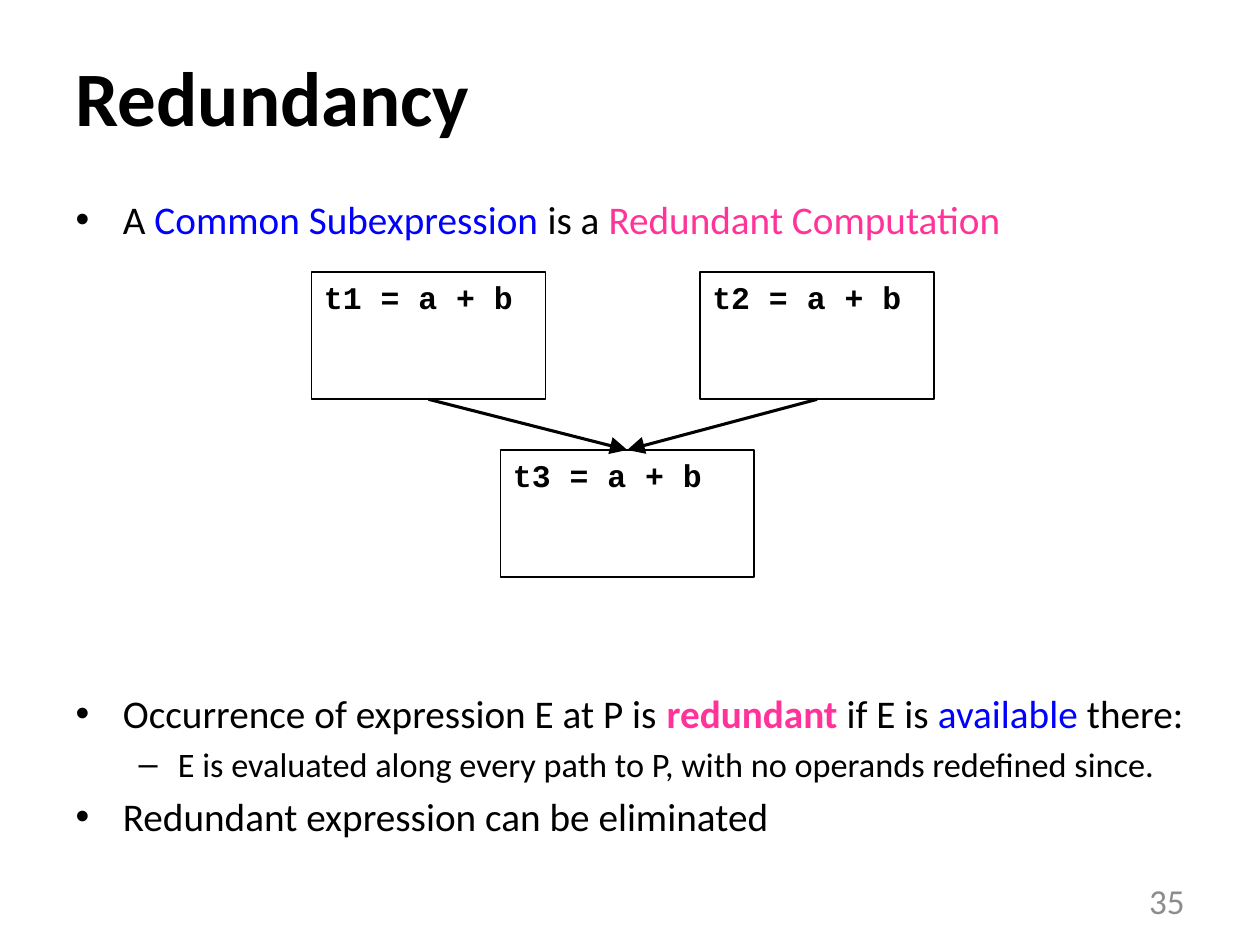
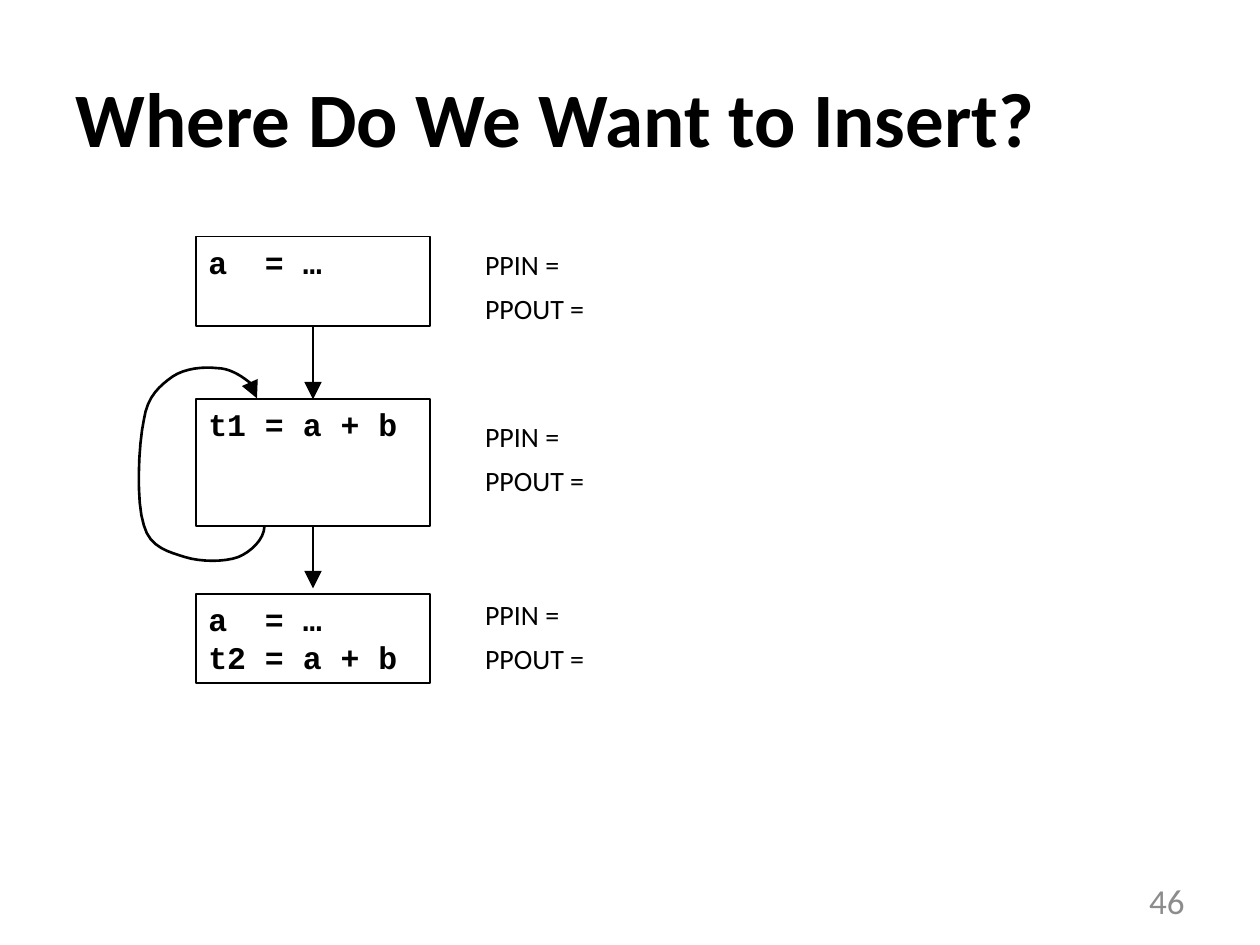
import pptx
import pptx.dml.color
import pptx.enum.shapes
import pptx.enum.text
import pptx.oxml
import pptx.oxml.ns
import pptx.util
from pptx.util import Cm

BLACK = pptx.dml.color.RGBColor(0x00, 0x00, 0x00)
BLUE = pptx.dml.color.RGBColor(0x00, 0x00, 0xFF)
PINK = pptx.dml.color.RGBColor(0xFF, 0x33, 0x99)
GREY = pptx.dml.color.RGBColor(0x8C, 0x8C, 0x8C)
TEXT_FONT = "Calibri"
CODE_FONT = "Courier New"
BLOCK_WIDTH = 4.72
TALL = 2.56
SHORT = 1.8


def add_block(page, code, left, top, width, height):
    block = page.shapes.add_shape(
        pptx.enum.shapes.MSO_SHAPE.RECTANGLE, Cm(left), Cm(top), Cm(width), Cm(height)
    )
    block.shadow.inherit = False
    block.fill.background()
    block.line.color.rgb = BLACK
    block.line.width = pptx.util.Pt(1)
    frame = block.text_frame
    frame.text = code
    frame.vertical_anchor = pptx.enum.text.MSO_ANCHOR.TOP
    for para in frame.paragraphs:
        para.alignment = pptx.enum.text.PP_ALIGN.LEFT
        font = para.runs[0].font
        font.name = CODE_FONT
        font.size = pptx.util.Pt(18)
        font.bold = True
        font.color.rgb = BLACK
    return block


def style_arrow(arrow, width):
    arrow.line.color.rgb = BLACK
    arrow.line.width = pptx.util.Pt(width)
    properties = arrow._element.spPr
    head = pptx.oxml.parse_xml(
        f'<a:tailEnd {pptx.oxml.ns.nsdecls("a")} type="triangle" w="lg" len="lg"/>'
    )
    properties.find(pptx.oxml.ns.qn("a:ln")).append(head)
    if properties.find(pptx.oxml.ns.qn("a:effectLst")) is None:
        properties.append(
            pptx.oxml.parse_xml(f'<a:effectLst {pptx.oxml.ns.nsdecls("a")}/>')
        )


deck = pptx.Presentation()
deck.slide_width = Cm(25.4)
deck.slide_height = Cm(19.05)

pages = []
for layout, heading, top, number in (
    (1, "Redundancy", 0.33, "35"),
    (5, "Where Do We Want to Insert?", 0.76, "46"),
):
    page = deck.slides.add_slide(deck.slide_layouts[layout])
    pages.append(page)

    title = page.shapes.title
    title.left, title.top, title.width, title.height = Cm(1.27), Cm(top), Cm(22.86), Cm(3.18)
    title.text_frame.text = heading
    title.text_frame.auto_size = pptx.enum.text.MSO_AUTO_SIZE.NONE
    para = title.text_frame.paragraphs[0]
    para.alignment = pptx.enum.text.PP_ALIGN.LEFT
    font = para.runs[0].font
    font.name = TEXT_FONT
    font.size = pptx.util.Pt(44)
    font.bold = True
    font.color.rgb = BLACK

    box = page.shapes.add_textbox(Cm(18.21), Cm(17.65), Cm(5.92), Cm(1.02))
    box.text_frame.word_wrap = True
    box.text_frame.vertical_anchor = pptx.enum.text.MSO_ANCHOR.MIDDLE
    box.text_frame.text = number
    para = box.text_frame.paragraphs[0]
    para.alignment = pptx.enum.text.PP_ALIGN.RIGHT
    font = para.runs[0].font
    font.name = TEXT_FONT
    font.size = pptx.util.Pt(20)
    font.color.rgb = GREY

redundancy, insertion = pages

body = redundancy.placeholders[1]
body.left, body.top, body.width, body.height = Cm(1.27), Cm(3.81), Cm(22.86), Cm(13.21)
frame = body.text_frame
frame.auto_size = pptx.enum.text.MSO_AUTO_SIZE.NONE
frame.margin_right = 0
bullets = (
    (0, 22.4, 4.5, (
        ("A ", BLACK, False),
        ("Common Subexpression", BLUE, False),
        (" is a ", BLACK, False),
        ("Redundant Computation", PINK, False),
    )),
    (0, 22.4, 255.5, (
        ("Occurrence of expression E at P is ", BLACK, False),
        ("redundant", PINK, True),
        (" if E is ", BLACK, False),
        ("available", BLUE, False),
        (" there:", BLACK, False),
    )),
    (1, 19.6, 4, (
        ("E is evaluated along every path to P, with no operands redefined since.", BLACK, False),
    )),
    (0, 22.4, 4.5, (("Redundant expression can be eliminated", BLACK, False),)),
)
for index, (level, size, gap, pieces) in enumerate(bullets):
    para = frame.paragraphs[0] if index == 0 else frame.add_paragraph()
    para.level = level
    para.space_before = pptx.util.Pt(gap)
    for words, color, bold in pieces:
        span = para.add_run()
        span.text = words
        span.font.name = TEXT_FONT
        span.font.size = pptx.util.Pt(size)
        span.font.bold = bold
        span.font.color.rgb = color

merge_block = add_block(redundancy, "t3 = a + b", 10.09, 9.07, 5.11, TALL)
for code, left in (("t1 = a + b", 6.28), ("t2 = a + b", 14.11)):
    branch = add_block(redundancy, code, left, 5.49, BLOCK_WIDTH, TALL)
    arrow = redundancy.shapes.add_connector(
        pptx.enum.shapes.MSO_CONNECTOR.STRAIGHT, 0, 0, 0, 0
    )
    arrow.begin_connect(branch, 2)
    arrow.end_connect(merge_block, 0)
    style_arrow(arrow, 1.75)

blocks = []
for code, top, height, label_top in (
    ("a  = …", 4.77, SHORT, 4.87),
    ("t1 = a + b", 8.05, TALL, 8.33),
    ("a  = …\nt2 = a + b", 11.97, SHORT, 11.92),
):
    blocks.append(add_block(insertion, code, 3.95, top, BLOCK_WIDTH, height))
    label = insertion.shapes.add_textbox(Cm(9.53), Cm(label_top), Cm(2.54), Cm(1.83))
    label.text_frame.text = "PPIN =\nPPOUT ="
    for para in label.text_frame.paragraphs:
        para.space_before = pptx.util.Pt(6)
        font = para.runs[0].font
        font.name = TEXT_FONT
        font.size = pptx.util.Pt(16)
        font.color.rgb = BLACK

entry_block, loop_block, exit_block = blocks
entry_arrow = insertion.shapes.add_connector(
    pptx.enum.shapes.MSO_CONNECTOR.STRAIGHT, 0, 0, 0, 0
)
entry_arrow.begin_connect(entry_block, 2)
entry_arrow.end_connect(loop_block, 0)
style_arrow(entry_arrow, 1.5)

exit_arrow = insertion.shapes.add_connector(
    pptx.enum.shapes.MSO_CONNECTOR.STRAIGHT, Cm(6.31), Cm(10.61), Cm(6.31), Cm(11.86)
)
exit_arrow.begin_connect(loop_block, 2)
style_arrow(exit_arrow, 1.5)

loop_start = (5.33, 10.61)
loop_curves = (
    ((5.33, 10.87), (5.05, 11.13), (4.8, 11.23)),
    ((4.52, 11.33), (4.06, 11.33), (3.73, 11.23)),
    ((3.43, 11.13), (3.02, 11.05), (2.9, 10.59)),
    ((2.74, 10.13), (2.79, 8.97), (2.9, 8.46)),
    ((2.97, 7.98), (3.23, 7.77), (3.48, 7.59)),
    ((3.73, 7.42), (4.11, 7.39), (4.37, 7.42)),
    ((4.62, 7.42), (4.85, 7.57), (4.98, 7.67)),
    ((5.13, 7.77), (5.16, 7.9), (5.18, 8.03)),
)
STEPS = 8
UNITS_PER_CM = 1000
points = [loop_start]
for first, second, end in loop_curves:
    start = points[-1]
    for step in range(1, STEPS + 1):
        t = step / STEPS
        u = 1 - t
        points.append(tuple(
            u**3 * a + 3 * u**2 * t * b + 3 * u * t**2 * c + t**3 * d
            for a, b, c, d in zip(start, first, second, end)
        ))
outline = [(round(x * UNITS_PER_CM), round(y * UNITS_PER_CM)) for x, y in points]
builder = insertion.shapes.build_freeform(*outline[0], scale=Cm(1) / UNITS_PER_CM)
builder.add_line_segments(outline[1:], close=False)
back_edge = builder.convert_to_shape()
back_edge.shadow.inherit = False
back_edge.fill.background()
style_arrow(back_edge, 1.5)

deck.save("out.pptx")
